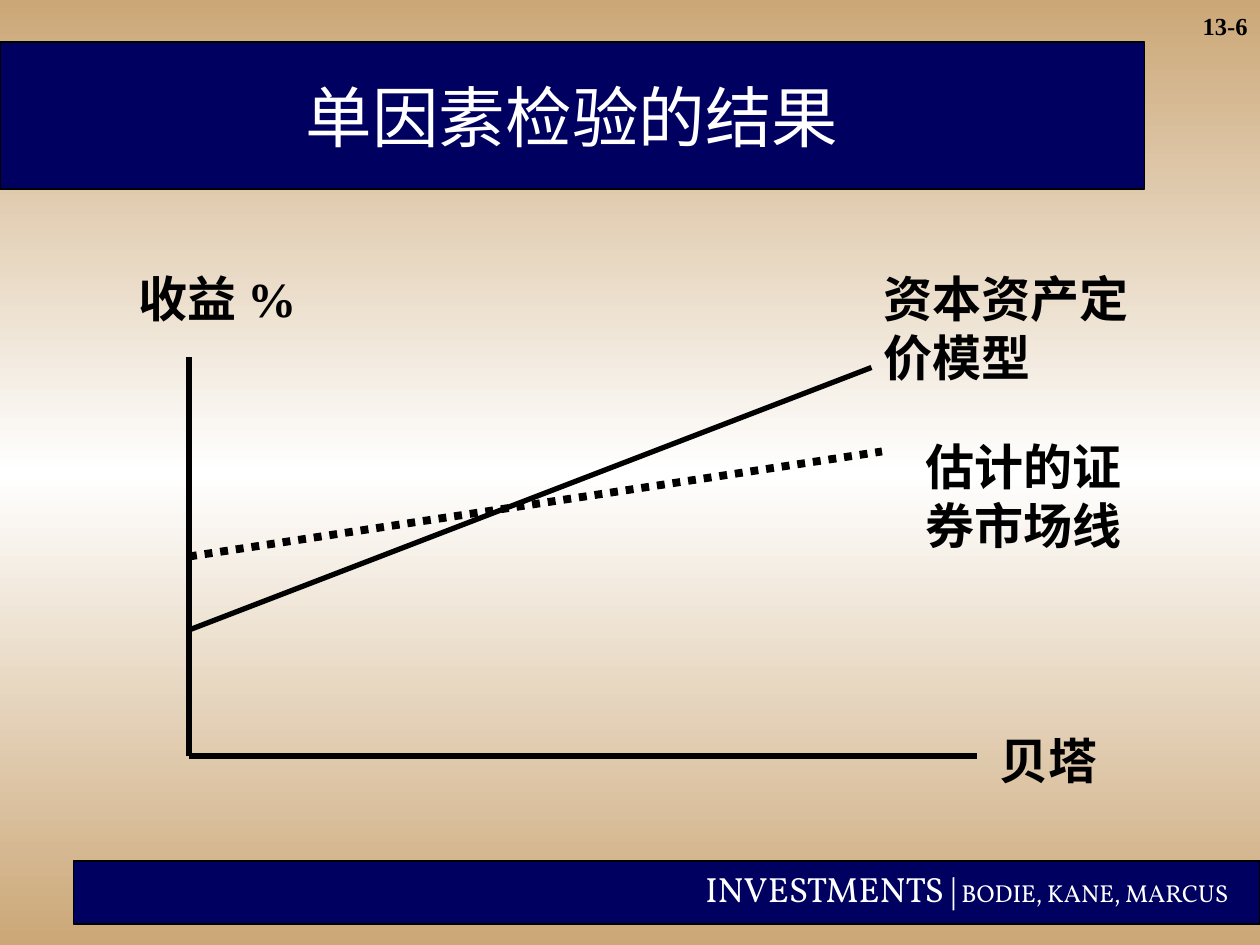
"""Build the slide on single-factor test results."""
from copy import deepcopy

from lxml import etree
from pptx import Presentation
from pptx.dml.color import RGBColor
from pptx.enum.dml import MSO_LINE
from pptx.enum.shapes import MSO_CONNECTOR, MSO_SHAPE
from pptx.enum.text import MSO_ANCHOR, PP_ALIGN
from pptx.oxml.ns import qn
from pptx.util import Pt

STRAIGHT, RECTANGLE = MSO_CONNECTOR.STRAIGHT, MSO_SHAPE.RECTANGLE
SOLID, DOTTED = MSO_LINE.SOLID, MSO_LINE.ROUND_DOT
TOP, MIDDLE = MSO_ANCHOR.TOP, MSO_ANCHOR.MIDDLE
LEFT, CENTER, RIGHT = PP_ALIGN.LEFT, PP_ALIGN.CENTER, PP_ALIGN.RIGHT

THEME = {
    "navy": RGBColor(0x00, 0x00, 0x60),
    "black": RGBColor(0x00, 0x00, 0x00),
    "white": RGBColor(0xFF, 0xFF, 0xFF),
    "tan": RGBColor(0xCB, 0xA7, 0x77),
    "serif": "Times New Roman",
    "display": "Vollkorn",
    "title": 38,
    "label": 28,
    "footer": 20,
    "footer_gap": 18,
    "small": 14,
}

SLIDE_SIZE = (720, 540)
TITLE = "单因素检验的结果"
TITLE_AREA = (0, 30, 654, 72)
PAGE_NUMBER = "13-6"
PAGE_NUMBER_AREA = (552, 3, 168, 37)
FOOTER = [
    ("INVESTMENTS", "footer"),
    (" ", "footer_gap"),
    ("|", "footer"),
    (" BODIE, KANE, MARCUS", "small"),
]
FOOTER_AREA = (396, 492, 324, 48)
BANDS = [(0, 24, 654, 84), (42, 492, 678, 36)]

ORIGIN = (108, 432)
LINES = [
    (ORIGIN, (108, 204), 3, SOLID),
    (ORIGIN, (558, 432), 3, SOLID),
    ((108, 360), (498, 210), 3, SOLID),
    ((108, 318), (504, 258), 4.5, DOTTED),
]
LABELS = [
    ("收益 %", (72, 150, 150, 41)),
    ("贝塔", (564, 414, 90, 41)),
    ("资本资产定价模型", (498, 150, 180, 75)),
    ("估计的证券市场线", (522, 246, 144, 75)),
]


def paint_background(page):
    fill = page.background.fill
    fill.gradient()
    fill.gradient_angle = 90
    stops = fill.gradient_stops
    for stop, position in zip(stops, (0, 1)):
        stop.color.rgb = THEME["tan"]
        stop.position = position
    first = next(page.background._cSld.iter(qn("a:gs")))
    first.addnext(deepcopy(first))
    middle = fill.gradient_stops[1]
    middle.color.rgb = THEME["white"]
    middle.position = 0.5


def add_band(page, area):
    band = page.shapes.add_shape(RECTANGLE, *map(Pt, area))
    band.shadow.inherit = False
    band.fill.solid()
    band.fill.fore_color.rgb = THEME["navy"]
    band.line.color.rgb = THEME["black"]
    band.line.width = Pt(0.75)


def add_line(page, start, end, width, dash):
    line = page.shapes.add_connector(STRAIGHT, *map(Pt, start + end))
    line.line.color.rgb = THEME["black"]
    line.line.width = Pt(width)
    line.line.dash_style = dash
    etree.SubElement(line._element.spPr, qn("a:effectLst"))


def add_text(page, area, spans, face, color, bold=False, align=LEFT, anchor=TOP):
    box = page.shapes.add_textbox(*map(Pt, area))
    frame = box.text_frame
    frame.word_wrap = True
    frame.vertical_anchor = anchor
    para = frame.paragraphs[0]
    para.alignment = align
    para.font.name = THEME[face]
    para.font.color.rgb = THEME[color]
    para.font.bold = bold
    for text, size in spans:
        span = para.add_run()
        span.text = text
        if len(spans) > 1:
            span.font.size = Pt(THEME[size])
        else:
            para.font.size = Pt(THEME[size])


def main():
    deck = Presentation()
    deck.slide_width, deck.slide_height = map(Pt, SLIDE_SIZE)
    page = deck.slides.add_slide(deck.slide_layouts[6])
    paint_background(page)
    for area in BANDS:
        add_band(page, area)
    add_text(page, FOOTER_AREA, FOOTER, "display", "white")
    add_text(page, PAGE_NUMBER_AREA, [(PAGE_NUMBER, "small")], "serif", "black",
             bold=True, align=RIGHT)
    add_text(page, TITLE_AREA, [(TITLE, "title")], "display", "white",
             align=CENTER, anchor=MIDDLE)
    for line in LINES:
        add_line(page, *line)
    for text, area in LABELS:
        add_text(page, area, [(text, "label")], "serif", "black", bold=True)
    deck.save("out.pptx")


if __name__ == "__main__":
    main()
